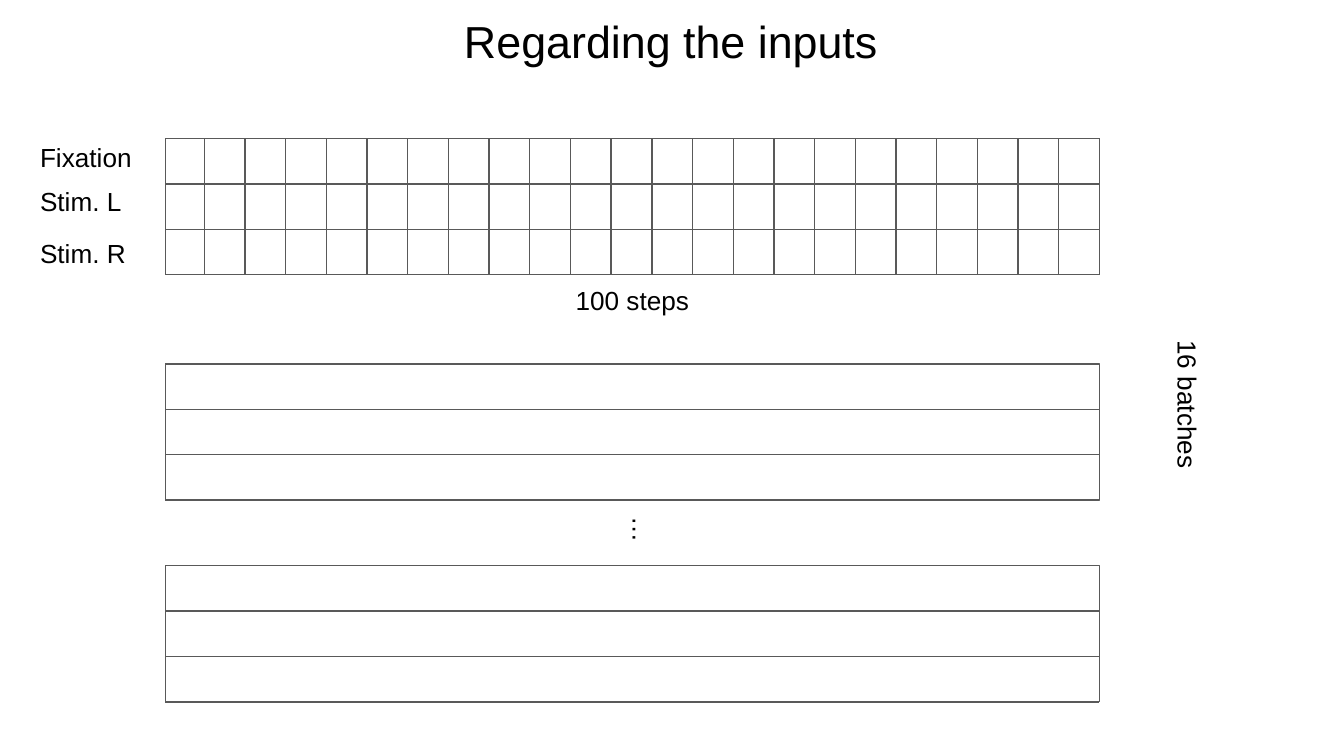
"""Build the slide on the input grid: three channels, 100 steps, 16 batches."""
from lxml import etree
from pptx import Presentation
from pptx import util as u
from pptx.dml import color
from pptx.enum import shapes, text
from pptx.oxml import ns

Pt = u.Pt
COLORS = {"paper": "FFFFFF", "ink": "000000", "rule": "595959"}
LEFT, RIGHT = 88.5, 589
ROW, STEP = 24.3, 21.8
BLOCK_TOPS = [74.2, 195, 303.1]


def write(box, words, size=14, align=text.PP_ALIGN.CENTER):
    frame = box.text_frame
    frame.word_wrap = True
    frame.auto_size = text.MSO_AUTO_SIZE.NONE
    frame.vertical_anchor = text.MSO_ANCHOR.TOP
    frame.margin_left = frame.margin_right = Pt(7.2)
    frame.margin_top = frame.margin_bottom = Pt(7.2)
    paragraph = frame.paragraphs[0]
    paragraph.alignment = align
    run = paragraph.add_run()
    run.text = words
    run.font.name = "Arial"
    run.font.size = Pt(size)
    run.font.color.rgb = color.RGBColor.from_string(COLORS["ink"])


def rule(x1, y1, x2, y2):
    line = slide.shapes.add_connector(
        shapes.MSO_CONNECTOR.STRAIGHT, Pt(x1), Pt(y1), Pt(x2), Pt(y2))
    line.line.width = Pt(0.75)
    line.line.color.rgb = color.RGBColor.from_string(COLORS["rule"])
    etree.SubElement(line._element.spPr, ns.qn("a:effectLst"))


deck = Presentation()
deck.slide_width, deck.slide_height = Pt(720), Pt(405)
slide = deck.slides.add_slide(deck.slide_layouts[5])

title = slide.shapes.title
title.left, title.top, title.width, title.height = Pt(129.6), Pt(0), Pt(459.4), Pt(44)
write(title, "Regarding the inputs", size=24)

for top in BLOCK_TOPS:
    block = slide.shapes.add_shape(
        shapes.MSO_SHAPE.RECTANGLE, Pt(LEFT), Pt(top), Pt(RIGHT - LEFT), Pt(3 * ROW))
    block.shadow.inherit = False
    block.fill.solid()
    block.fill.fore_color.rgb = color.RGBColor.from_string(COLORS["paper"])
    block.line.color.rgb = color.RGBColor.from_string(COLORS["rule"])
    block.line.width = Pt(0.75)
    for row in range(4):
        rule(LEFT, top + row * ROW, RIGHT, top + row * ROW)

for step in range(24):
    x = max(LEFT, RIGHT - step * STEP)
    rule(x, BLOCK_TOPS[0], x, BLOCK_TOPS[0] + 3 * ROW)

for channel, top in [("Fixation", 68.4), ("Stim. L", 92.2), ("Stim. R", 119.8)]:
    label = slide.shapes.add_textbox(Pt(14.4), Pt(top), Pt(456.5), Pt(31.7))
    write(label, channel, align=text.PP_ALIGN.LEFT)

for caption, left, top, width, turn in [
    ("100 steps", 122.4, 145.4, 432.7, 0),
    ("…", 146.9, 267.8, 394.6, 90),
    ("16 batches", 419.8, 200.9, 432.7, 90),
]:
    label = slide.shapes.add_textbox(Pt(left), Pt(top), Pt(width), Pt(31.7))
    label.rotation = turn
    write(label, caption)

deck.save("out.pptx")
